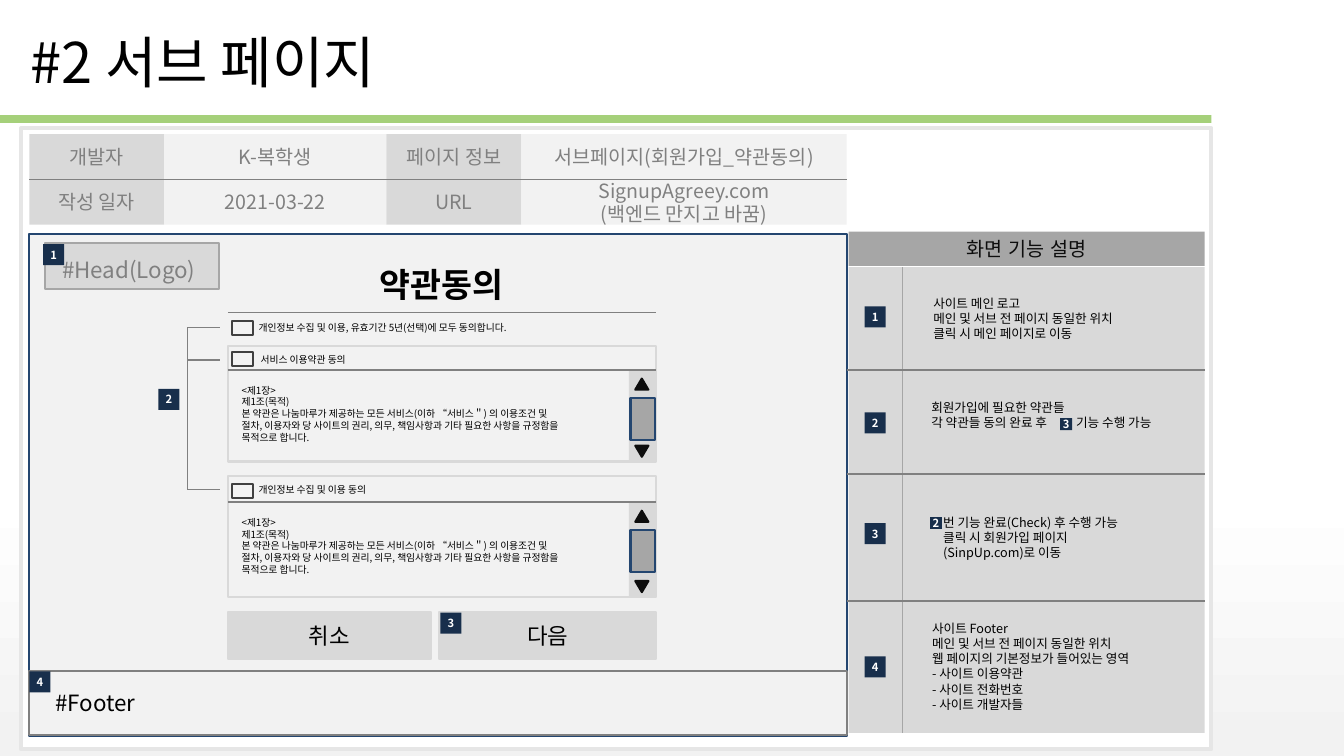
from lxml.etree import SubElement
from pptx import Presentation
from pptx.dml.color import RGBColor
from pptx.enum.shapes import MSO_CONNECTOR, MSO_SHAPE
from pptx.enum.text import MSO_ANCHOR, MSO_AUTO_SIZE, PP_ALIGN
from pptx.oxml.ns import qn
from pptx.util import Cm, Pt

COLORS = {
    "black": "000000", "ink": "0D0D0D", "white": "FFFFFF", "pale": "F2F2F2",
    "frame": "E6E6E6", "light": "D9D9D9", "mid": "A6A6A6", "gray": "808080",
    "dark": "404040", "blue": "244670", "navy": "182F4C", "green": "A5D07A",
}
FONT = "Noto Sans CJK KR"
TERMS = """<제1장>
제1조(목적)
본 약관은 나눔마루가 제공하는 모든 서비스(이하 “서비스＂) 의 이용조건 및
절차, 이용자와 당 사이트의 권리, 의무, 책임사항과 기타 필요한 사항을 규정함을
목적으로 합니다."""
INFO = [["개발자", "K-복학생", "페이지 정보", "서브페이지(회원가입_약관동의)"],
        ["작성 일자", "2021-03-22", "URL", "SignupAgreey.com\n(백엔드 만지고 바꿈)"]]
# Badge top, note left, note top, note width, note height, note text
NOTES = [
    (1.88, 1.88, 1.48, 5.46, 1.42,
     "사이트 메인 로고\n메인 및 서브 전 페이지 동일한 위치\n클릭 시 메인 페이지로 이동"),
    (4.55, 1.83, 4.12, 6.27, 1.8,
     "회원가입에 필요한 약관들\n각 약관들 동의 완료 후\t기능 수행 가능"),
    (7.34, 2.13, 7.01, 5.26, 1.8,
     "번 기능 완료(Check) 후 수행 가능\n클릭 시 회원가입 페이지\n(SinpUp.com)로 이동"),
    (10.7, 1.85, 9.68, 5.89, 2.57,
     "사이트 Footer\n메인 및 서브 전 페이지 동일한 위치\n"
     "웹 페이지의 기본정보가 들어있는 영역\n"
     "- 사이트 이용약관\n- 사이트 전화번호\n- 사이트 개발자들"),
]

presentation = Presentation()
presentation.slide_width, presentation.slide_height = Cm(33.87), Cm(19.05)
slide = presentation.slides.add_slide(presentation.slide_layouts[6])


def rgb(name):
    return RGBColor.from_string(COLORS[name])


def write(shape, text, size=14, color="black", bold=False, font=FONT,
          align=PP_ALIGN.LEFT, tab=None):
    for index, line in enumerate(text.split("\n")):
        frame = shape.text_frame
        paragraph = frame.paragraphs[0] if index == 0 else frame.add_paragraph()
        paragraph.alignment = align
        if tab and "\t" in line:
            stops = SubElement(paragraph._p.get_or_add_pPr(), qn("a:tabLst"))
            SubElement(stops, qn("a:tab"), pos=str(Cm(tab)), algn="l")
        run = paragraph.add_run()
        run.text = line
        run.font.size, run.font.bold, run.font.name = Pt(size), bold, font
        run.font.color.rgb = rgb(color)
        SubElement(run._r.get_or_add_rPr(), qn("a:ea"), typeface=font)


def add_box(left, top, width, height, fill, line=None, weight=1.5,
            kind=MSO_SHAPE.RECTANGLE, text=None, margin=None, **style):
    shape = slide.shapes.add_shape(kind, Cm(left), Cm(top), Cm(width), Cm(height))
    shape.shadow.inherit = False
    shape.fill.solid()
    shape.fill.fore_color.rgb = rgb(fill)
    if line:
        shape.line.color.rgb = rgb(line)
        shape.line.width = Pt(weight)
    else:
        shape.line.fill.background()
    if text:
        frame = shape.text_frame
        frame.vertical_anchor = MSO_ANCHOR.MIDDLE
        if margin is not None:
            frame.margin_left = frame.margin_right = Cm(margin)
            frame.margin_top = frame.margin_bottom = Cm(margin)
        write(shape, text, align=PP_ALIGN.CENTER, **style)
    return shape


def add_label(left, top, width, height, text, wrap=False, **style):
    label = slide.shapes.add_textbox(Cm(left), Cm(top), Cm(width), Cm(height))
    label.text_frame.word_wrap = wrap
    label.text_frame.auto_size = MSO_AUTO_SIZE.SHAPE_TO_FIT_TEXT
    write(label, text, **style)


def add_line(x1, y1, x2, y2, color="gray"):
    line = slide.shapes.add_connector(MSO_CONNECTOR.STRAIGHT,
                                      Cm(x1), Cm(y1), Cm(x2), Cm(y2))
    line.line.color.rgb = rgb(color)
    line.line.width = Pt(1)
    SubElement(line._element.spPr, qn("a:effectLst"))


def add_badge(left, top, number, side=0.53):
    add_box(left, top, side, side, "navy", text=str(number), margin=0,
            size=8, color="white", bold=True)


def add_checkbox(left, top, text, label_left, label_top, label_width):
    add_box(left, top, 0.53, 0.36, "pale", "dark")
    add_label(label_left, label_top, label_width, 0.55, text, size=7)


def draw_background():
    fill = slide.background.fill
    fill.gradient()
    fill.gradient_angle = 270
    for stop, position, color in zip(fill.gradient_stops, (0.65, 0.99), ("white", "pale")):
        stop.position = position
        stop.color.rgb = rgb(color)


def draw_heading(left, top, width):
    add_box(left, top + 2.9, width, 0.2, "green")
    add_label(left + 0.53, top + 0.58, 29.46, 1.96, "#2 서브 페이지", wrap=True, size=40)
    add_box(left + 0.53, top + 3.23, 30, 15.65, "white", "frame", 3)


def draw_info(left, top, row_height, widths):
    for row, texts in enumerate(INFO):
        for column, text in enumerate(texts):
            add_box(left + sum(widths[:column]), top + row * row_height,
                    widths[column], row_height, "pale" if column % 2 else "light",
                    text=text, color="gray")
    add_line(left, top + row_height, left + sum(widths), top + row_height)


def draw_terms(left, top, width, height, header, title, label_left):
    add_box(left, top, width, height, "pale", "light")
    rule = top + header
    add_line(left, rule, left + width, rule)
    add_checkbox(left + 0.1, rule - 0.46, title, left + label_left, top + 0.08, 3.45)
    add_label(left + 0.1, rule + 0.24, 9.27, 1.75, TERMS, wrap=True, size=7)
    # Scroll bar
    bar = left + width - 0.69
    add_box(bar, rule + 0.03, 0.69, height - header, "light")
    add_box(bar + 0.04, rule + 0.7, 0.61, 1.07, "mid", "blue")
    for arrow_top, rotation in ((rule + 0.22, 0), (top + height - 0.4, 180)):
        arrow = add_box(bar + 0.16, arrow_top, 0.33, 0.28, "ink", "ink",
                        kind=MSO_SHAPE.ISOSCELES_TRIANGLE)
        arrow.rotation = rotation


def draw_screen(left, top, width, height):
    add_box(left, top, width, height, "pale", "blue")
    # Head
    add_box(left + 0.4, top + 0.23, 4.39, 1.17, "light", "mid")
    add_label(left + 0.58, top + 0.43, 3.94, 0.94, "#Head(Logo)", size=16, color="gray")
    # Agreement form
    form, form_width = left + 5, 10.8
    add_label(left + 8.58, top + 0.64, 3.84, 1.27, "약관동의", size=24, bold=True)
    add_line(form, top + 1.98, form + form_width, top + 1.98)
    add_checkbox(form + 0.1, top + 2.19,
                 "개인정보 수집 및 이용, 유효기간 5년(선택)에 모두 동의합니다.",
                 form + 0.53, top + 2.09, 7.24)
    draw_terms(form, top + 2.82, form_width, 2.92, 0.61, "서비스 이용약관 동의", 0.58)
    draw_terms(form, top + 6.1, form_width, 3.05, 0.66, "개인정보 수집 및 이용 동의", 0.53)
    for button_left, button_width, text in ((0, 5.13, "취소"), (5.33, 5.47, "다음")):
        add_box(form + button_left, top + 9.53, button_width, 1.19, "light", "light",
                text=text, size=16)
    # Bracket joining the three checkboxes
    branches = [top + 2.37, top + 3.18, top + 6.45]
    for y in branches:
        add_line(left + 3.98, y, left + 4.8, y)
    add_line(left + 3.98, branches[0], left + 3.98, branches[-1])
    # Footer
    add_box(left, top + 11.03, width, 1.6, "pale", "gray")
    add_label(left + 0.4, top + 11.36, 2.69, 0.94, "#Footer", size=16)
    badges = [(0.35, 0.26), (3.25, 3.91), (10.36, 9.55), (0, 11.03)]
    for number, (x, y) in enumerate(badges, 1):
        add_badge(left + x, top + y, number)


def draw_description(left, top, width, height):
    add_box(left, top, width, 0.86, "mid", text="화면 기능 설명", font="Arial", color="ink")
    add_box(left, top + 0.89, width, height - 0.89, "light")
    add_line(left + 1.35, top + 0.89, left + 1.35, top + height, "mid")
    for y in (3.48, 6.1, 9.3):
        add_line(left - 0.05, top + y, left + width, top + y)
    for number, (badge_top, x, y, note_width, note_height, text) in enumerate(NOTES, 1):
        add_badge(left + 0.4, top + badge_top, number)
        add_label(left + x, top + y, note_width, note_height, text,
                  wrap=True, size=9, tab=3.65)
    # Badges inside the notes; the tab stop clears the first one
    add_badge(left + 5.33, top + 4.7, 3, side=0.3)
    add_badge(left + 2.05, top + 7.19, 2, side=0.3)


draw_background()
draw_heading(0, 0, 30.53)
draw_info(0.74, 3.38, 1.14, [3.4, 5.6, 3.4, 8.2])
draw_screen(0.74, 5.89, 20.6, 12.65)
draw_description(21.39, 5.84, 8.97, 12.63)
presentation.save("out.pptx")
